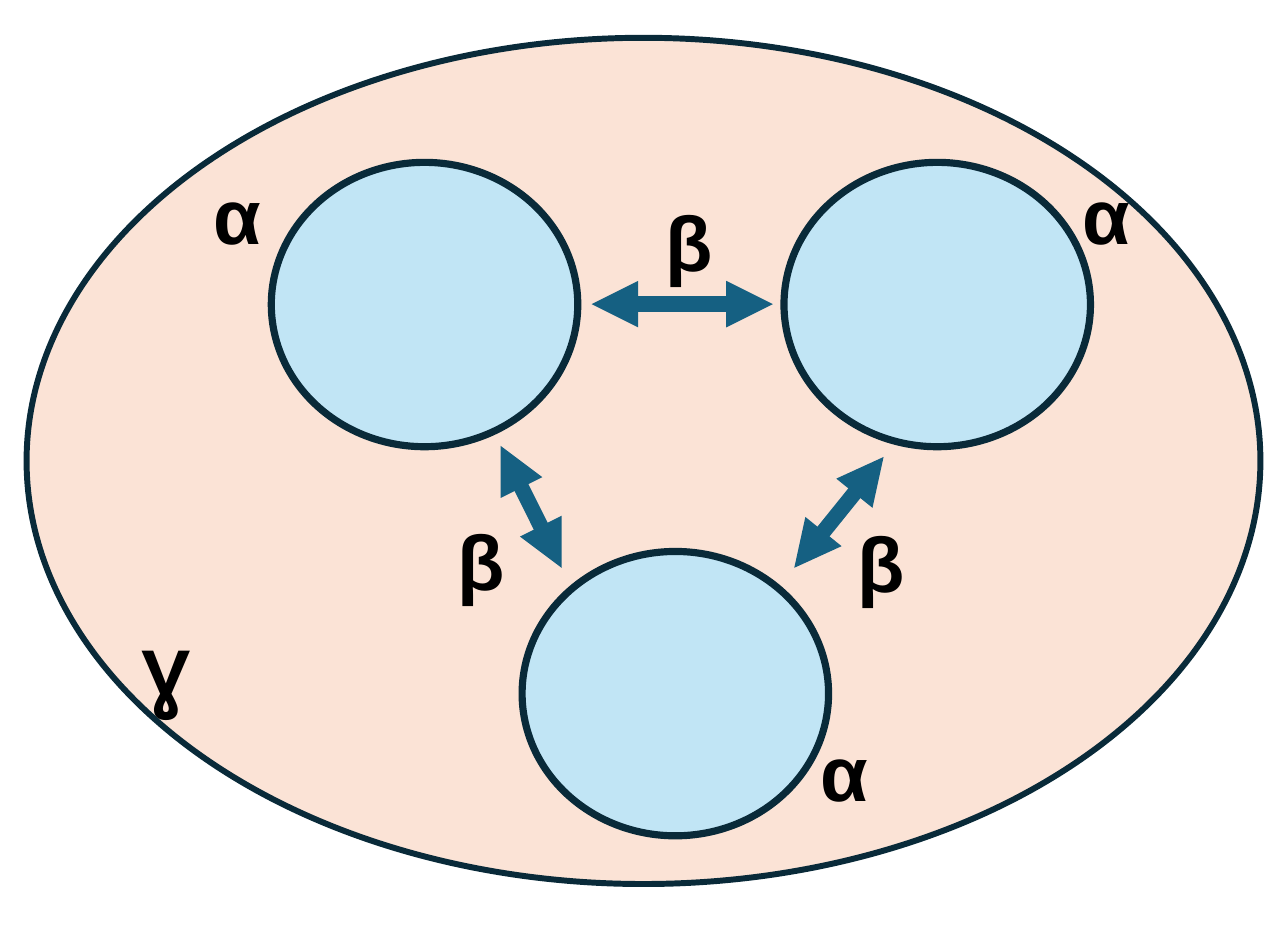
from lxml import etree
from pptx import Presentation
from pptx.dml.color import RGBColor
from pptx.enum.shapes import MSO_CONNECTOR, MSO_SHAPE
from pptx.enum.text import MSO_AUTO_SIZE
from pptx.oxml.ns import qn
from pptx.util import Pt

OVAL = MSO_SHAPE.OVAL
STRAIGHT = MSO_CONNECTOR.STRAIGHT
FIT_SHAPE = MSO_AUTO_SIZE.SHAPE_TO_FIT_TEXT

PEACH = RGBColor(0xFB, 0xE3, 0xD6)
PALE_BLUE = RGBColor(0xC1, 0xE5, 0xF5)
NAVY = RGBColor(0x09, 0x2A, 0x39)
TEAL = RGBColor(0x15, 0x60, 0x82)
BLACK = RGBColor(0, 0, 0)

REGION = (22.3, 31.7, 1034.6, 709.2)
CIRCLE_SIZE = (257, 238.3)
CIRCLE_CORNERS = [(227.5, 136.1), (437.8, 462.2), (657.4, 136.1)]
ARROWS = [
    (496.1, 254.9, 648, 254.9),
    (419.8, 373.7, 470.9, 475.9),
    (740.9, 383, 666, 475.9),
]
LABEL_SIZE = (54.5, 85.7)
LABELS = {
    "Ɣ": [(111.6, 522)],
    "β": [(712.1, 427.7), (376.6, 426.2), (550.8, 159.1)],
    "α": [(681.1, 603.4), (172.1, 136.1), (900.7, 136.1)],
}


def points(values):
    return [Pt(value) for value in values]


def add_oval(slide, box, fill_color, line_width):
    shape = slide.shapes.add_shape(OVAL, *points(box))
    shape.shadow.inherit = False
    shape.fill.solid()
    shape.fill.fore_color.rgb = fill_color
    shape.line.color.rgb = NAVY
    shape.line.width = Pt(line_width)


def add_double_arrow(slide, ends):
    connector = slide.shapes.add_connector(STRAIGHT, *points(ends))
    connector.line.color.rgb = TEAL
    connector.line.width = Pt(13)
    line = connector.line._get_or_add_ln()
    for end in ("a:headEnd", "a:tailEnd"):
        etree.SubElement(line, qn(end), type="triangle")
    etree.SubElement(connector._element.spPr, qn("a:effectLst"))


def add_label(slide, text, corner):
    text_box = slide.shapes.add_textbox(*points(corner + LABEL_SIZE))
    text_frame = text_box.text_frame
    text_frame.word_wrap = False
    text_frame.auto_size = FIT_SHAPE
    text_frame.text = text
    font = text_frame.paragraphs[0].runs[0].font
    font.name = "Arial"
    font.size = Pt(65)
    font.bold = True
    font.color.rgb = BLACK


def main():
    presentation = Presentation()
    presentation.slide_width = Pt(1080)
    presentation.slide_height = Pt(792)
    slide = presentation.slides.add_slide(presentation.slide_layouts[6])

    add_oval(slide, REGION, PEACH, 5)
    for corner in CIRCLE_CORNERS:
        add_oval(slide, corner + CIRCLE_SIZE, PALE_BLUE, 6)
    for ends in ARROWS:
        add_double_arrow(slide, ends)
    for text, corners in LABELS.items():
        for corner in corners:
            add_label(slide, text, corner)

    presentation.save("out.pptx")


if __name__ == "__main__":
    main()
